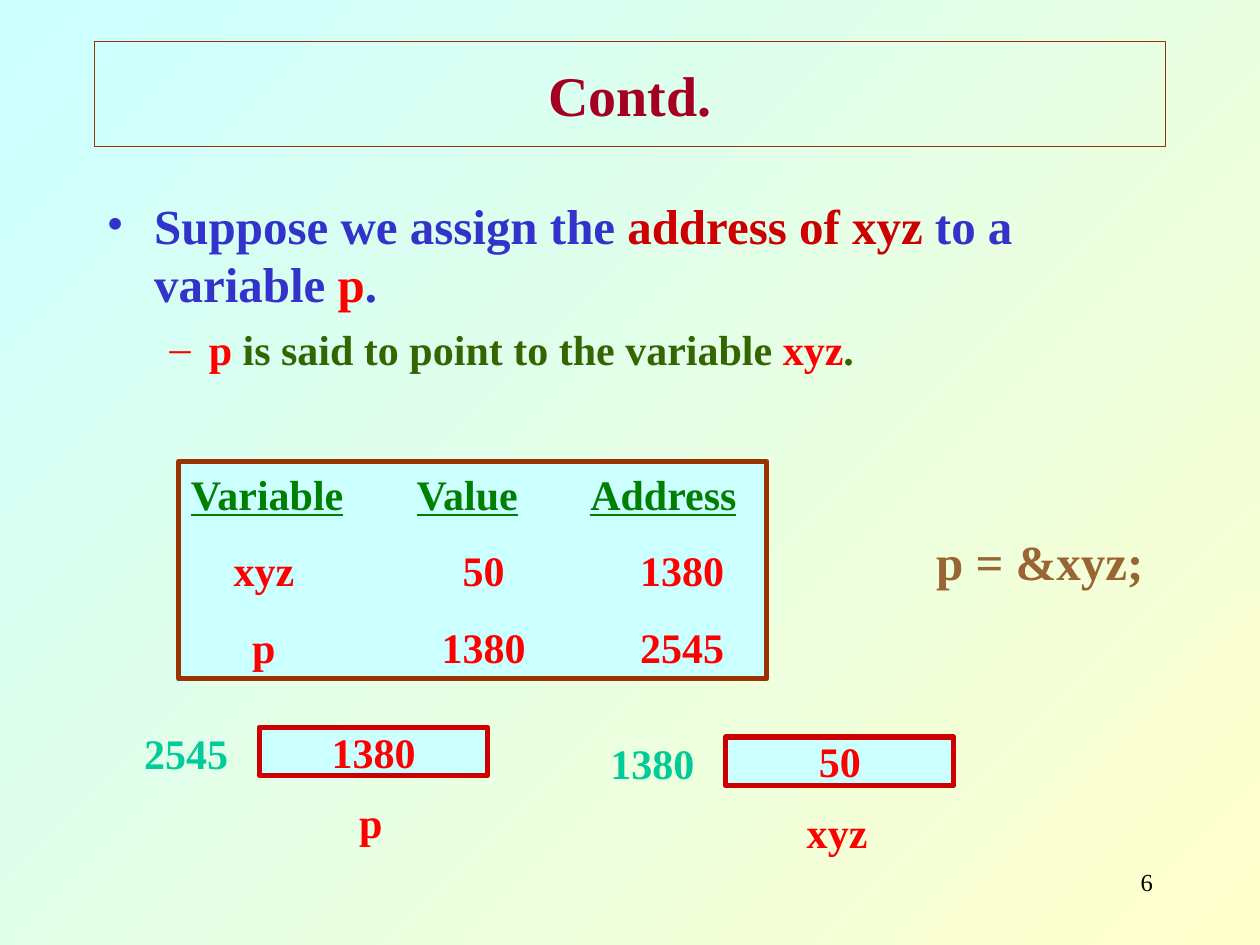
from lxml import etree
from pptx import Presentation
from pptx.dml.color import RGBColor
from pptx.enum.shapes import MSO_SHAPE
from pptx.enum.text import MSO_ANCHOR, PP_ALIGN
from pptx.oxml.ns import qn
from pptx.util import Cm, Pt

CYAN = RGBColor(0xCC, 0xFF, 0xFF)
CREAM = RGBColor(0xFF, 0xFF, 0xCC)
BROWN = RGBColor(0x99, 0x33, 0x00)
TAN = RGBColor(0x99, 0x66, 0x33)
MAROON = RGBColor(0xA5, 0x00, 0x21)
CRIMSON = RGBColor(0xCC, 0x00, 0x00)
RED = RGBColor(0xFF, 0x00, 0x00)
BLUE = RGBColor(0x33, 0x33, 0xCC)
OLIVE = RGBColor(0x33, 0x66, 0x00)
GREEN = RGBColor(0x00, 0x80, 0x00)
TEAL = RGBColor(0x00, 0xCC, 0x99)
BLACK = RGBColor(0x00, 0x00, 0x00)


def add_runs(paragraph, runs, size=24, align=PP_ALIGN.LEFT, bold=True):
    """Add (text, colour) runs in one font."""
    paragraph.alignment = align
    for text, color in runs:
        run = paragraph.add_run()
        run.text = text
        run.font.name = "Times New Roman"
        run.font.size = Pt(size)
        run.font.bold = bold
        run.font.color.rgb = color


def add_box(shapes, left, top, width, height, line=None, wrap=True):
    """Add a text box, or a framed cyan rectangle when a line colour is given."""
    bounds = Cm(left), Cm(top), Cm(width), Cm(height)
    if line is None:
        box = shapes.add_textbox(*bounds)
    else:
        box = shapes.add_shape(MSO_SHAPE.RECTANGLE, *bounds)
        box.shadow.inherit = False
        box.fill.solid()
        box.fill.fore_color.rgb = CYAN
        box.line.color.rgb = line
        box.line.width = Pt(3)
    box.text_frame.word_wrap = wrap
    return box.text_frame


presentation = Presentation()
presentation.slide_width, presentation.slide_height = Cm(25.4), Cm(19.05)
slide = presentation.slides.add_slide(presentation.slide_layouts[5])

# Background, from top left to bottom right
background = slide.background.fill
background.gradient()
background.gradient_angle = 315
for stop, color in zip(background.gradient_stops, (CYAN, CREAM)):
    stop.color.rgb = color

# Title
title = slide.shapes.title
title.left, title.top, title.width, title.height = Cm(1.9), Cm(0.84), Cm(21.6), Cm(2.12)
title.line.color.rgb = BROWN
title.line.width = Pt(0.75)
title.text_frame.vertical_anchor = MSO_ANCHOR.MIDDLE
add_runs(title.text_frame.paragraphs[0], [("Contd.", MAROON)], 32, PP_ALIGN.CENTER)

# Bulleted text: bullet, its colour, left margin, hanging indent, size, space before, runs
bullets = [
    ("•", BLUE, 0.96, 0.96, 28, 0,
     [("Suppose we assign the ", BLUE), ("address of xyz", CRIMSON),
      (" to a variable ", BLUE), ("p", RED), (".", BLUE)]),
    ("–", RED, 2.06, 0.79, 24, 6,
     [("p", RED), (" is said to point to the variable ", OLIVE),
      ("xyz", RED), (".", OLIVE)]),
]
body = add_box(slide.shapes, 1.9, 3.81, 21.6, 13.13)
for index, (bullet, color, margin, hanging, size, space, runs) in enumerate(bullets):
    paragraph = body.add_paragraph() if index else body.paragraphs[0]
    paragraph.level = index
    properties = paragraph._p.get_or_add_pPr()
    properties.set("marL", str(Cm(margin)))
    properties.set("indent", str(-Cm(hanging)))
    bullet_color = etree.SubElement(properties, qn("a:buClr"))
    etree.SubElement(bullet_color, qn("a:srgbClr"), val=str(color))
    etree.SubElement(properties, qn("a:buFont"), typeface="Times New Roman")
    etree.SubElement(properties, qn("a:buChar"), char=bullet)
    paragraph.space_before = Pt(space)
    add_runs(paragraph, runs, size)

# Memory listing, set in columns with tab stops
header_tabs = [(4.55, "l"), (8.05, "l")]
value_tabs = [(1.47, "ctr"), (5.9, "ctr"), (9.9, "ctr")]
rows = [
    (header_tabs, [("Variable", GREEN), ("\t", GREEN), ("Value", GREEN),
                   ("\t", GREEN), ("Address", GREEN)]),
    (value_tabs, [("\txyz\t50\t1380", RED)]),
    (value_tabs, [("\tp\t1380\t2545", RED)]),
]
listing = add_box(slide.shapes, 3.6, 9.31, 11.86, 4.37, BROWN)
listing.vertical_anchor = MSO_ANCHOR.TOP
for index, (tabs, runs) in enumerate(rows):
    paragraph = listing.add_paragraph() if index else listing.paragraphs[0]
    tab_list = etree.SubElement(paragraph._p.get_or_add_pPr(), qn("a:tabLst"))
    for position, kind in tabs:
        etree.SubElement(tab_list, qn("a:tab"), pos=str(Cm(position)), algn=kind)
    paragraph.space_before = Pt(15 if index else 0)
    add_runs(paragraph, runs)
for run in listing.paragraphs[0].runs:
    run.font.underline = run.text != "\t"

# Assignment statement
statement = add_box(slide.shapes, 18.42, 10.59, 5.08, 1.45)
add_runs(statement.paragraphs[0], [("p = &xyz;", TAN)], 28, PP_ALIGN.CENTER)

# Memory cells: value in the box, address on its left, name below
for left, top, address, value, name in [
    (14.63, 14.86, "1380", "50", "xyz"),
    (5.23, 14.66, "2545", "1380", "p"),
]:
    cell = slide.shapes.add_group_shape().shapes
    value_frame = add_box(cell, left, top, 4.6, 0.97, CRIMSON, wrap=False)
    value_frame.vertical_anchor = MSO_ANCHOR.MIDDLE
    address_frame = add_box(cell, left - 2.68, top - 0.12, 2.4, 1.27, wrap=False)
    name_frame = add_box(cell, left + 1.38, top + 1.27, 1.73, 1.27, wrap=False)
    for frame, text, color in [
        (value_frame, value, RED), (address_frame, address, TEAL), (name_frame, name, RED),
    ]:
        add_runs(frame.paragraphs[0], [(text, color)], align=PP_ALIGN.CENTER)

# Slide number
number = add_box(slide.shapes, 18.21, 17.35, 5.28, 1.27)
add_runs(number.paragraphs[0], [("6", BLACK)], 14, PP_ALIGN.RIGHT, bold=False)

presentation.save("out.pptx")
